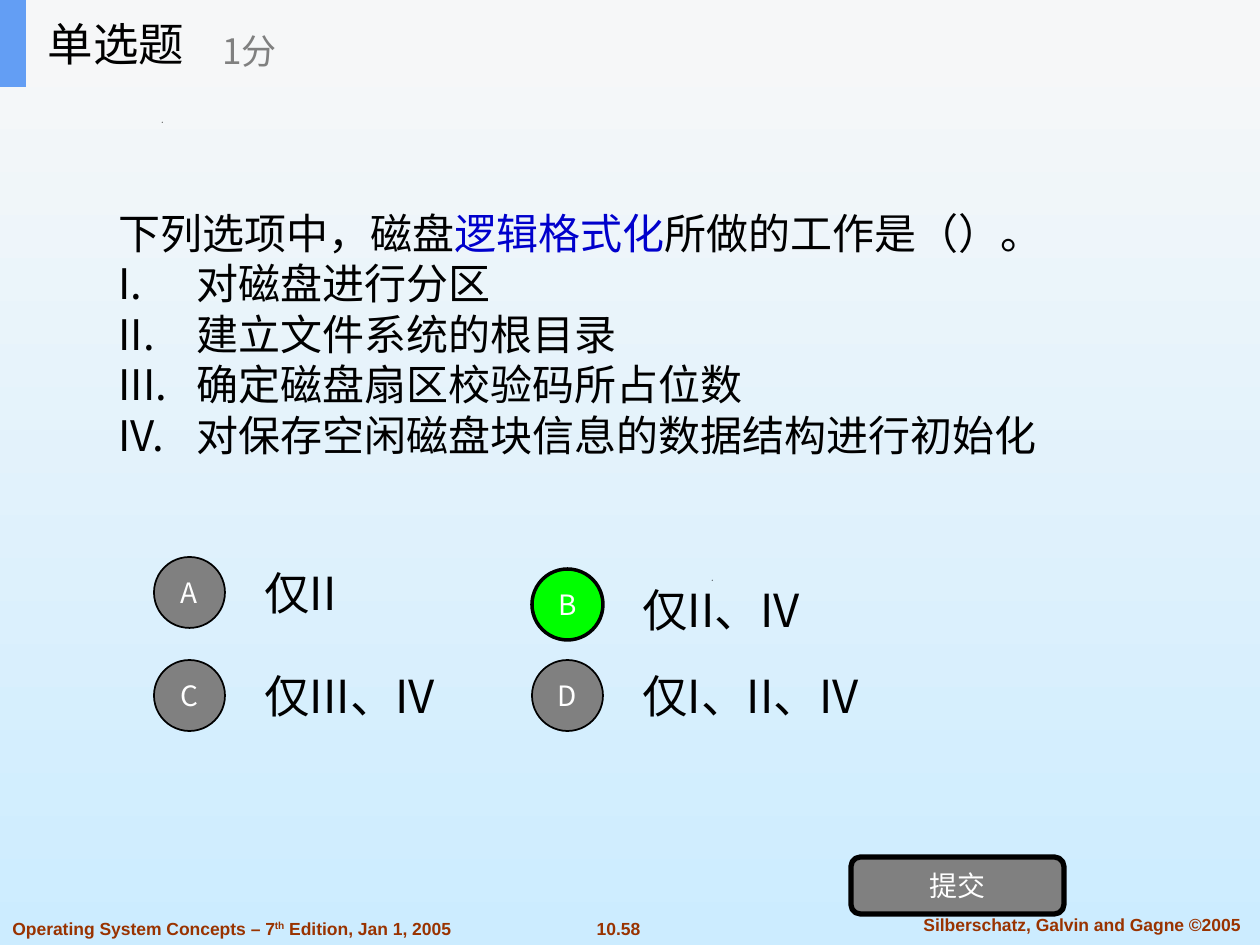
"""Build a single-choice quiz slide about logical disk formatting."""
from dataclasses import dataclass

from lxml.etree import SubElement
from pptx import Presentation
from pptx.dml.color import RGBColor
from pptx.enum.shapes import MSO_SHAPE
from pptx.enum.text import MSO_ANCHOR, MSO_AUTO_SIZE, PP_ALIGN
from pptx.oxml.ns import qn
from pptx.util import Pt

SCALE = 914400 / 126


@dataclass(frozen=True)
class Theme:
    quiz_font: str = "Noto Sans CJK SC"
    footer_font: str = "Arial"
    ink: str = "000000"
    white: str = "FFFFFF"
    gray: str = "808080"
    emphasis: str = "0000CC"
    correct: str = "00FF00"
    footer: str = "993300"
    header: str = "F6F7F8"
    accent: str = "639EF4"
    sky: tuple = ("F8F8F8", "CCECFF")
    title_size: int = 26
    body_size: int = 24
    score_size: int = 20
    label_size: int = 16
    footer_size: int = 10


THEME = Theme()
TITLE, SCORE, SUBMIT = "单选题", "1分", "提交"
QUESTION = [("下列选项中，磁盘", THEME.ink), ("逻辑格式化", THEME.emphasis),
            ("所做的工作是（）。", THEME.ink)]
STATEMENTS = ["对磁盘进行分区", "建立文件系统的根目录", "确定磁盘扇区校验码所占位数",
              "对保存空闲磁盘块信息的数据结构进行初始化"]
ANSWERS = [
    ("A", "仅II", (154, 557), (252, 548, 305, 88), False),
    ("B", "仅II、IV", (532, 569), (630, 565, 222, 88), True),
    ("C", "仅III、IV", (154, 660), (252, 651, 243, 88), False),
    ("D", "仅I、II、IV", (532, 660), (630, 651, 273, 88), False),
]
FOOTERS = [
    (["10.58"], (583, 911, 71, 34), PP_ALIGN.CENTER),
    (["Silberschatz, Galvin and Gagne ©2005"], (895, 907, 374, 34), PP_ALIGN.CENTER),
    (["Operating System Concepts – 7", "th", " Edition, Jan 1, 2005"],
     (0, 911, 465, 34), PP_ALIGN.LEFT),
]
SPECKS = [(162, 122), (712, 580)]
CIRCLE = 71
LIST_INDENT = 78


def px(value):
    return round(value * SCALE)


def color(code):
    return RGBColor.from_string(code)


def place(shape, area):
    shape.left, shape.top, shape.width, shape.height = map(px, area)


def add_span(para, text, size, ink, font=THEME.quiz_font, bold=False):
    span = para.add_run()
    span.text = text
    span.font.size = Pt(size)
    span.font.bold = bold
    span.font.color.rgb = color(ink)
    span.font.name = font
    properties = span.font._element
    SubElement(properties, qn("a:ea")).set("typeface", font)
    return span


def set_frame(shape, wrap=True, align=PP_ALIGN.LEFT):
    frame = shape.text_frame
    frame.auto_size = MSO_AUTO_SIZE.NONE
    frame.word_wrap = wrap
    frame.vertical_anchor = MSO_ANCHOR.MIDDLE
    frame.paragraphs[0].alignment = align
    return frame.paragraphs[0]


def add_text(slide, area, wrap=True, align=PP_ALIGN.LEFT):
    return set_frame(slide.shapes.add_textbox(*map(px, area)), wrap, align)


def paint(shape, fill, line_width=0):
    shape.shadow.inherit = False
    shape.fill.solid()
    shape.fill.fore_color.rgb = color(fill)
    if line_width:
        shape.line.color.rgb = color(THEME.ink)
        shape.line.width = Pt(line_width)
    else:
        shape.line.fill.background()


def add_block(slide, kind, area, fill, line_width=0, label=""):
    block = slide.shapes.add_shape(kind, *map(px, area))
    paint(block, fill, line_width)
    if label:
        para = set_frame(block, False, PP_ALIGN.CENTER)
        add_span(para, label, THEME.label_size, THEME.white)


def set_bullet(para, numbered):
    properties = para._p.get_or_add_pPr()
    indent = px(LIST_INDENT) if numbered else 0
    properties.set("marL", str(indent))
    properties.set("indent", str(-indent))
    if numbered:
        SubElement(properties, qn("a:buFont")).set("typeface", THEME.quiz_font)
        SubElement(properties, qn("a:buAutoNum")).set("type", "romanUcPeriod")
    else:
        SubElement(properties, qn("a:buNone"))


def add_background(slide):
    fill = slide.background.fill
    fill.gradient()
    fill.gradient_angle = 270
    for stop, code in zip(fill.gradient_stops, THEME.sky):
        stop.color.rgb = color(code)


def add_footers(slide):
    for parts, area, align in FOOTERS:
        para = add_text(slide, area, False, align)
        for text in parts:
            span = add_span(para, text, THEME.footer_size, THEME.footer,
                            THEME.footer_font, True)
            if text == "th":
                span.font._element.set("baseline", "30000")


def add_specks(slide):
    for left, top in SPECKS:
        pen = slide.shapes.build_freeform(px(left), px(top))
        pen.add_line_segments([(px(left + 1), px(top)), (px(left), px(top + 1))])
        paint(pen.convert_to_shape(), THEME.ink)


def add_question(body):
    place(body, (106, 186, 1082, 295))
    para = set_frame(body)
    para.space_before = Pt(0)
    set_bullet(para, False)
    for text, ink in QUESTION:
        add_span(para, text, THEME.body_size, ink)
    for statement in STATEMENTS:
        para = body.text_frame.add_paragraph()
        para.space_before = Pt(0)
        set_bullet(para, True)
        add_span(para, statement, THEME.body_size, THEME.ink)


def add_answers(slide):
    for letter, text, corner, area, correct in ANSWERS:
        add_span(add_text(slide, area), text, THEME.title_size, THEME.ink)
        add_block(slide, MSO_SHAPE.OVAL, (*corner, CIRCLE, CIRCLE),
                  THEME.correct if correct else THEME.gray, 2 if correct else 1, letter)
    add_block(slide, MSO_SHAPE.ROUNDED_RECTANGLE, (851, 857, 213, 57),
              THEME.gray, 3, SUBMIT)


def add_header(slide, title):
    add_block(slide, MSO_SHAPE.RECTANGLE, (0, 0, 1260, 87), THEME.header)
    add_block(slide, MSO_SHAPE.RECTANGLE, (0, 0, 26, 87), THEME.accent)
    place(title, (35, 0, 262, 87))
    title.element.getparent().append(title.element)
    add_span(set_frame(title), TITLE, THEME.title_size, THEME.ink)
    add_span(add_text(slide, (210, 15, 315, 71)), SCORE, THEME.score_size, THEME.gray)


def main():
    deck = Presentation()
    deck.slide_width, deck.slide_height = px(1260), px(945)
    slide = deck.slides.add_slide(deck.slide_layouts[1])
    add_background(slide)
    add_footers(slide)
    add_specks(slide)
    add_question(slide.placeholders[1])
    add_answers(slide)
    add_header(slide, slide.shapes.title)
    deck.save("out.pptx")


if __name__ == "__main__":
    main()
